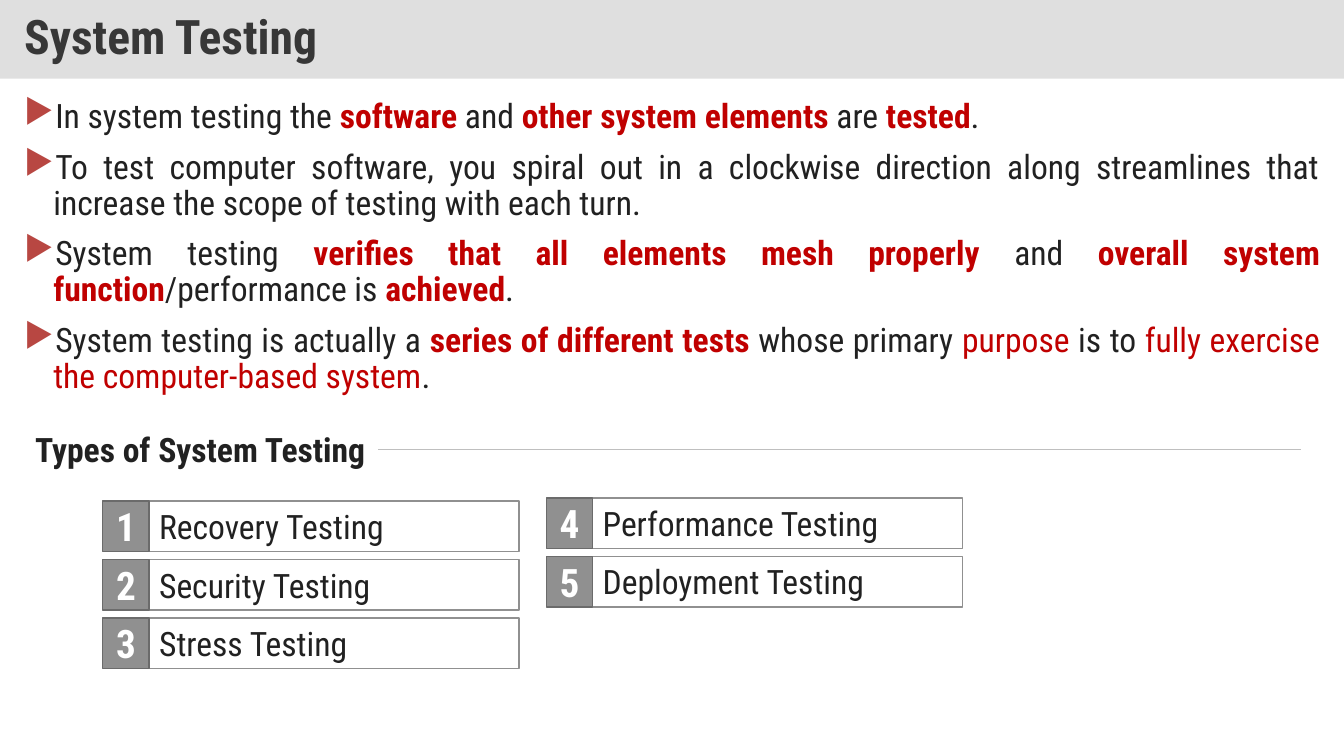
"""Build the System Testing slide."""
from typing import NamedTuple

from lxml import etree
from pptx import Presentation
from pptx.dml.color import RGBColor
from pptx.enum.shapes import MSO_CONNECTOR, MSO_SHAPE
from pptx.enum.text import MSO_ANCHOR, MSO_AUTO_SIZE, PP_ALIGN
from pptx.oxml.ns import qn
from pptx.util import Emu, Inches, Pt

RECTANGLE = MSO_SHAPE.RECTANGLE
STRAIGHT = MSO_CONNECTOR.STRAIGHT
TOP, MIDDLE = MSO_ANCHOR.TOP, MSO_ANCHOR.MIDDLE
LEFT, CENTER, JUSTIFY = PP_ALIGN.LEFT, PP_ALIGN.CENTER, PP_ALIGN.JUSTIFY
NO_FIT, GROW = MSO_AUTO_SIZE.NONE, MSO_AUTO_SIZE.SHAPE_TO_FIT_TEXT

WHITE = RGBColor(0xFF, 0xFF, 0xFF)
SILVER = RGBColor(0xC0, 0xC0, 0xC0)
RULE_GRAY = RGBColor(0xBF, 0xBF, 0xBF)
BADGE_GRAY = RGBColor(0x90, 0x90, 0x90)
BADGE_EDGE = RGBColor(0x6B, 0x6B, 0x6B)
TITLE_GRAY = RGBColor(0x37, 0x37, 0x37)
INK = RGBColor(0x21, 0x21, 0x21)
RED = RGBColor(0xC0, 0x00, 0x00)
BULLET_RED = RGBColor(0xB8, 0x47, 0x42)

FONT = "Roboto Condensed"
WIDTH, HEIGHT = Inches(13.33), Inches(7.5)
COLUMN, ROW = WIDTH / 100, HEIGHT / 100
BADGE_WIDTH, LABEL_WIDTH, ITEM_HEIGHT, ITEM_PITCH = 3.45, 27.53, 6.67, 7.73


class Area(NamedTuple):
    """A rectangle in columns and rows of a 100 by 100 grid."""
    left: float
    top: float
    width: float
    height: float

    def lengths(self) -> list[Emu]:
        """Return the rectangle in slide units."""
        return [Emu(round(value * unit)) for value, unit in zip(self, (COLUMN, ROW) * 2)]


class Span(NamedTuple):
    """A stretch of text in one style."""
    text: str
    color: RGBColor = INK
    bold: bool = False
    size: float = 24


class ItemColumn(NamedTuple):
    """A stack of numbered test types."""
    left: float
    top: float
    first: int
    names: tuple[str, ...]


def strong(text: str) -> Span:
    """Return a bold red span."""
    return Span(text, RED, True)


POINTS = (
    (Span("In system testing the "), strong("software"), Span(" and "),
     strong("other system elements"), Span(" are "), strong("tested"), Span(".")),
    (Span("To test computer software, you spiral out in a clockwise direction along "
          "streamlines that increase the scope of testing with each turn."),),
    (Span("System testing "), strong("verifies that all elements mesh properly "),
     Span("and "), strong("overall system function"), Span("/performance is "),
     strong("achieved"), Span(".")),
    (Span("System testing is actually a "), strong("series of different tests"),
     Span(" whose primary "), Span("purpose", RED), Span(" is to "),
     Span("fully exercise the computer-based system", RED), Span(".")),
)

ITEM_COLUMNS = (
    ItemColumn(7.65, 66.27, 1, ("Recovery Testing", "Security Testing", "Stress Testing")),
    ItemColumn(40.65, 65.87, 4, ("Performance Testing", "Deployment Testing")),
)


def apply(target, **values) -> None:
    """Set each named format value on the target."""
    for name, value in values.items():
        setattr(target, name, value)


def write(para, spans: tuple[Span, ...], **values) -> None:
    """Fill a paragraph with styled spans."""
    apply(para, **values)
    for span in spans:
        run = para.add_run()
        run.text = span.text
        apply(run.font, name=FONT, size=Pt(span.size), bold=span.bold)
        run.font.color.rgb = span.color


def add_bullet(para) -> None:
    """Give a paragraph a hanging triangle bullet."""
    properties = para._p.get_or_add_pPr()
    properties.set("marL", str(Inches(0.29)))
    properties.set("indent", str(Inches(-0.29)))
    color = etree.SubElement(properties, qn("a:buClr"))
    etree.SubElement(color, qn("a:srgbClr"), val=str(BULLET_RED))
    etree.SubElement(properties, qn("a:buChar"), char="▶")


def add_panel(shapes, area: Area, fill: RGBColor, edge: RGBColor | None = None):
    """Draw a flat rectangle and return it."""
    panel = shapes.add_shape(RECTANGLE, *area.lengths())
    panel.shadow.inherit = False
    panel.fill.solid()
    panel.fill.fore_color.rgb = fill
    if edge is None:
        panel.line.fill.background()
    else:
        panel.line.color.rgb = edge
        panel.line.width = Pt(1)
    return panel


def add_title(page) -> None:
    """Draw the half-transparent title band."""
    band = add_panel(page.shapes, Area(0, 0, 100, 10.4), SILVER)
    color = band.fill._xPr.find(qn("a:solidFill"))[0]
    etree.SubElement(color, qn("a:alpha"), val="50000")
    side, edge = Inches(0.24), Inches(0.12)
    apply(band.text_frame, vertical_anchor=MIDDLE, word_wrap=True, margin_left=side,
          margin_right=side, margin_top=edge, margin_bottom=edge)
    write(band.text_frame.paragraphs[0], (Span("System Testing", TITLE_GRAY, True, 34),),
          alignment=LEFT, line_spacing=0.9)


def add_points(page) -> None:
    """Draw the bulleted explanation."""
    box = page.shapes.add_textbox(*Area(1.05, 12.53, 97.9, 43.47).lengths())
    frame = box.text_frame
    apply(frame, word_wrap=True, auto_size=NO_FIT)
    for index, spans in enumerate(POINTS):
        para = frame.add_paragraph() if index else frame.paragraphs[0]
        add_bullet(para)
        write(para, spans, alignment=JUSTIFY, line_spacing=0.9,
              space_before=Pt(10 if index else 0))


def add_heading(page) -> None:
    """Draw the section heading and its rule."""
    box = page.shapes.add_textbox(*Area(1.88, 56.13, 26.25, 6.67).lengths())
    apply(box.text_frame, word_wrap=False, auto_size=GROW)
    write(box.text_frame.paragraphs[0], (Span("Types of System Testing", bold=True),))
    left, top, width, _ = Area(28.13, 59.47, 68.64, 0).lengths()
    rule = page.shapes.add_connector(STRAIGHT, left, top, left + width, top)
    rule.line.color.rgb = RULE_GRAY
    rule.line.width = Pt(0.5)
    etree.SubElement(rule._element.spPr, qn("a:effectLst"))


def add_item(page, left: float, top: float, number: int, name: str) -> None:
    """Draw one numbered test type as a group."""
    shapes = page.shapes.add_group_shape().shapes
    label = add_panel(shapes, Area(left + BADGE_WIDTH, top, LABEL_WIDTH, ITEM_HEIGHT),
                      WHITE, BADGE_GRAY)
    apply(label.text_frame, vertical_anchor=TOP, word_wrap=True, auto_size=GROW)
    write(label.text_frame.paragraphs[0], (Span(name),), alignment=LEFT)
    badge = add_panel(shapes, Area(left, top, BADGE_WIDTH, ITEM_HEIGHT),
                      BADGE_GRAY, BADGE_EDGE)
    apply(badge.text_frame, vertical_anchor=MIDDLE, word_wrap=True)
    write(badge.text_frame.paragraphs[0], (Span(str(number), WHITE, True, 28),),
          alignment=CENTER)


def main() -> None:
    """Build and save the deck."""
    deck = Presentation()
    apply(deck, slide_width=WIDTH, slide_height=HEIGHT)
    page = deck.slides.add_slide(deck.slide_layouts[6])
    add_title(page)
    add_points(page)
    add_heading(page)
    for column in ITEM_COLUMNS:
        for index, name in enumerate(column.names):
            add_item(page, column.left, column.top + index * ITEM_PITCH,
                     column.first + index, name)
    deck.save("out.pptx")


if __name__ == "__main__":
    main()
